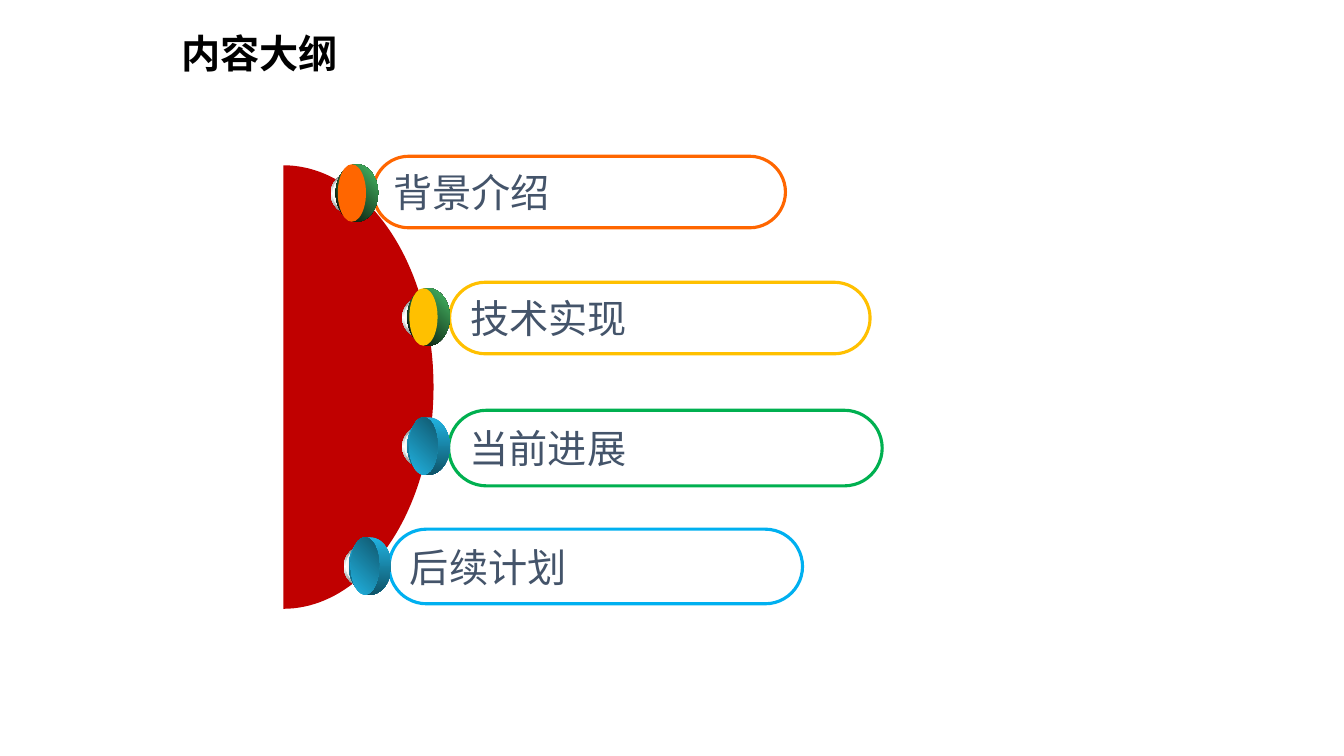
import copy
import math
from lxml import etree
from pptx import Presentation
from pptx.dml import color
from pptx.enum import shapes, text
from pptx.oxml import ns
from pptx.util import Inches, Pt

FONT = "Noto Sans CJK SC"


def paint(fill, *colours, angle=0):
    if len(colours) == 1:
        fill.solid()
        fill.fore_color.rgb = color.RGBColor.from_string(colours[0])
        return
    fill.gradient()
    fill.gradient_angle = (360 - angle) % 360
    first = fill.gradient_stops[0]._gs
    for _ in colours[2:]:
        first.addnext(copy.deepcopy(first))
    for index, (stop, colour) in enumerate(zip(fill.gradient_stops, colours)):
        stop.position = index / (len(colours) - 1)
        stop.color.rgb = color.RGBColor.from_string(colour)


def write(holder, words, colour="44546A", size=28, bold=False, wrap=False,
          anchor=text.MSO_ANCHOR.MIDDLE):
    frame = holder.text_frame
    frame.word_wrap = wrap
    frame.vertical_anchor = anchor
    paragraph = frame.paragraphs[0]
    paragraph.alignment = text.PP_ALIGN.LEFT
    run = paragraph.add_run()
    run.text = words
    run.font.name = FONT
    run.font.size = Pt(size)
    run.font.bold = bold
    paint(run.font.fill, colour)
    etree.SubElement(run.font._element, ns.qn("a:ea"), typeface=FONT)


deck = Presentation()
deck.slide_width, deck.slide_height = Inches(13.33), Inches(7.5)
slide = deck.slides.add_slide(deck.slide_layouts[6])

title = slide.shapes.add_textbox(Inches(1.7), Inches(0.24), Inches(5), Inches(0.6))
write(title, "内容大纲", colour="000000", bold=True, wrap=True,
      anchor=text.MSO_ANCHOR.TOP)

centre_x, centre_y, radius_x, radius_y = 2.81, 3.84, 1.49, 2.2
arc = [(Inches(centre_x + radius_x * math.cos(math.radians(turn))),
        Inches(centre_y + radius_y * math.sin(math.radians(turn))))
       for turn in range(-90, 91, 2)]
outline = slide.shapes.build_freeform(*arc[0])
outline.add_line_segments(arc[1:], close=True)
half_disc = outline.convert_to_shape()
half_disc.shadow.inherit = False
half_disc.line.fill.background()
paint(half_disc.fill, "C00000")

GREEN_RIM = (("000000", "48BE67"), 315)
BLUE_RIM = (("21B3E1", "0F5368"), 90)
BLUE_FACE = (("21B3E1", "10576D"), 315)
topics = [
    ("背景介绍", "FF6600", (3.7, 1.55, 4.09, 0.71), (3.28, 1.71),
     GREEN_RIM, (("FF6600",), 0)),
    ("技术实现", "FFC000", (4.46, 2.8, 4.17, 0.71), (3.99, 2.94),
     GREEN_RIM, (("FFC000",), 0)),
    ("后续计划", "00B0F0", (3.86, 5.25, 4.1, 0.74), (3.41, 5.41),
     BLUE_RIM, BLUE_FACE),
    ("当前进展", "00B050", (4.45, 4.07, 4.3, 0.75), (3.99, 4.22),
     BLUE_RIM, BLUE_FACE),
]
for words, accent, place, (knob_x, knob_y), rim, face in topics:
    pill = slide.shapes.add_shape(shapes.MSO_SHAPE.ROUNDED_RECTANGLE,
                                  *map(Inches, place))
    pill.adjustments[0] = 0.5
    pill.shadow.inherit = False
    pill.fill.background()
    paint(pill.line.fill, accent)
    pill.line.width = Pt(2.25)
    write(pill, words)

    knob = slide.shapes.add_group_shape()
    layers = [
        (0, 0, 0.42, 0.42, (("767676", "FFFFFF", "767676"), 90)),
        (0.02, 0.02, 0.37, 0.37, (("FFFFFF", "A2A2A2", "FFFFFF"), 0)),
        (0.05, -0.08, 0.42, 0.57, rim),
        (0.07, -0.08, 0.28, 0.57, face),
    ]
    for shift_x, shift_y, width, height, (colours, angle) in layers:
        layer = knob.shapes.add_shape(
            shapes.MSO_SHAPE.OVAL, Inches(knob_x + shift_x),
            Inches(knob_y + shift_y), Inches(width), Inches(height))
        layer.shadow.inherit = False
        layer.line.fill.background()
        paint(layer.fill, *colours, angle=angle)

deck.save("out.pptx")
